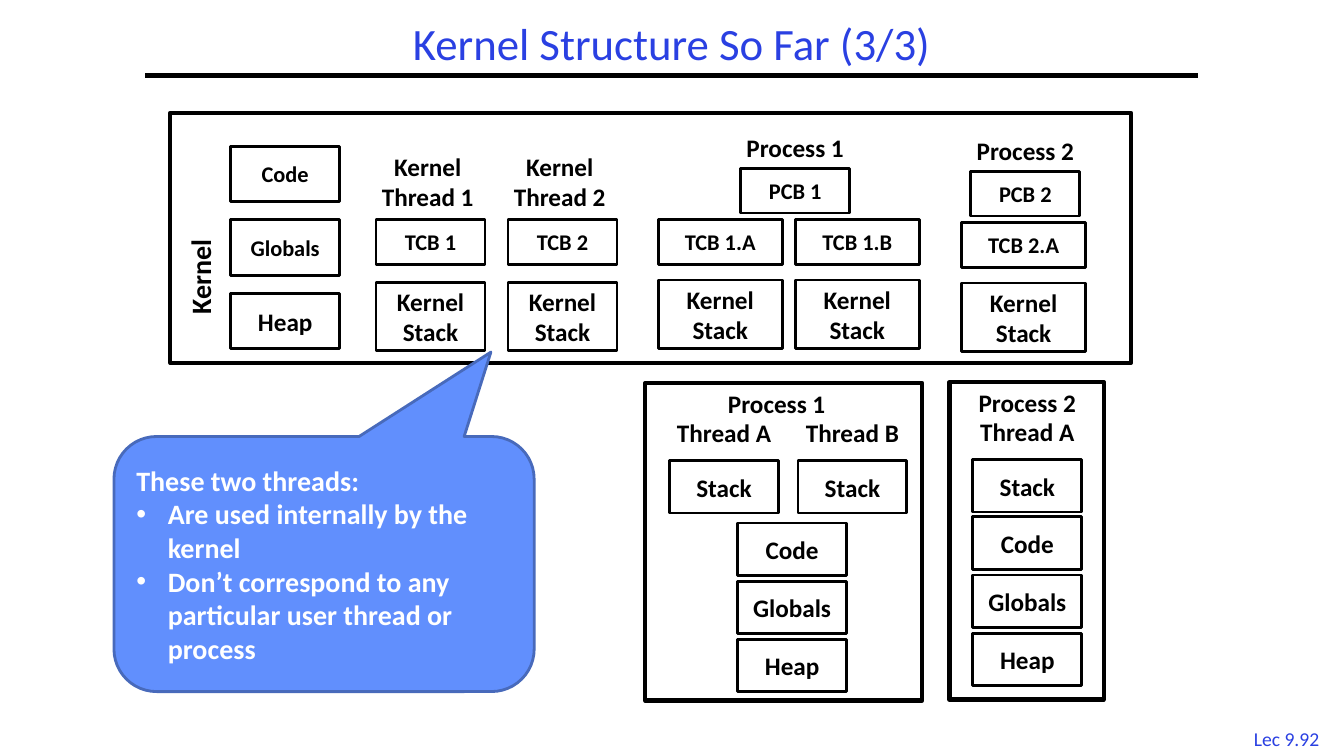
from lxml.etree import SubElement
from pptx import Presentation
from pptx.dml.color import RGBColor
from pptx.enum.shapes import MSO_CONNECTOR, MSO_SHAPE
from pptx.enum.text import MSO_ANCHOR, PP_ALIGN
from pptx.oxml.ns import qn
from pptx.util import Pt

BLACK = RGBColor(0x00, 0x00, 0x00)
WHITE = RGBColor(0xFF, 0xFF, 0xFF)
TITLE = RGBColor(0x2A, 0x40, 0xE2)
BLUE = RGBColor(0x61, 0x8F, 0xFD)
EDGE = RGBColor(0x48, 0x6A, 0xBB)
STACK = "Kernel\vStack"
CELL = 77.8  # width of a narrow cell
WIDE = 88.6  # width of a cell under a process


def style(para, size, color=BLACK, bold=True):
    font = para.font
    font.name, font.size, font.bold = "Calibri", Pt(size), bold
    font.color.rgb = color


def label(slide, mid, top, width, height, text, size=18, color=BLACK, bold=True):
    """Add centred text around the given middle."""
    box = slide.shapes.add_textbox(Pt(mid - width / 2), Pt(top), Pt(width), Pt(height))
    frame = box.text_frame
    frame.word_wrap = True
    frame.text = text
    for para in frame.paragraphs:
        para.alignment = PP_ALIGN.CENTER
        style(para, size, color, bold)
    return frame


def rect(slide, left, top, width, height, weight, kind=MSO_SHAPE.RECTANGLE):
    shape = slide.shapes.add_shape(kind, Pt(left), Pt(top), Pt(width), Pt(height))
    shape.shadow.inherit = False
    shape.fill.background()
    shape.line.color.rgb = BLACK
    shape.line.width = Pt(weight)
    return shape


def cell(slide, mid, top, width, height, text, size=18):
    """Add an outlined box with a bold name around the given middle."""
    frame = rect(slide, mid - width / 2, top, width, height, 2).text_frame
    frame.vertical_anchor = MSO_ANCHOR.MIDDLE
    frame.word_wrap = True
    para = frame.paragraphs[0]
    para.text = text
    para.alignment = PP_ALIGN.CENTER
    style(para, size)


def header(slide, left, top, width, height):
    frame = label(slide, left + width / 2, top, width, height,
                  "Kernel Structure So Far (3/3)", 32, TITLE, False)
    frame.vertical_anchor = MSO_ANCHOR.MIDDLE
    frame.paragraphs[0].line_spacing = 0.9
    base = Pt(top + height)
    rule = slide.shapes.add_connector(
        MSO_CONNECTOR.STRAIGHT, Pt(left), base, Pt(left + width), base)
    rule.line.color.rgb = BLACK
    rule.line.width = Pt(3)
    SubElement(rule._element.spPr, qn("a:effectLst"))


def task(slide, mid, top, name, block, threads):
    """Add a process as the kernel sees it: its PCB, TCBs and stacks."""
    label(slide, mid, top, 100, 29, name)
    cell(slide, mid, top + 29.5, CELL, 31.7, block, 16)
    for x, thread in threads:
        cell(slide, x, top + 66, WIDE, 31.7, thread, 16)
        cell(slide, x, top + 109, WIDE, 49, STACK)


def kernel(slide, left, top, width, height):
    rect(slide, left, top, width, height, 3)
    side = label(slide, left + 21, top + 67, 38, 100, "Kernel", 20)
    side.vertical_anchor = MSO_ANCHOR.MIDDLE
    side._txBody.bodyPr.set("vert", "vert270")
    for row, (name, size) in enumerate([("Code", 16), ("Globals", 16), ("Heap", 18)]):
        cell(slide, left + 82, top + 23.8 + 52.6 * row, CELL, 39.6, name, size)
    for col in range(2):
        mid = left + 185.8 + 94.3 * col
        label(slide, mid - 2, top + 23.8, 90, 51, f"Kernel\nThread {col + 1}")
        cell(slide, mid, top + 76.4, CELL, 31.7, f"TCB {col + 1}", 16)
        cell(slide, mid, top + 121, CELL, 49, STACK)
    task(slide, left + 446.3, top + 10.4, "Process 1", "PCB 1",
         [(left + 392.8, "TCB 1.A"), (left + 490.7, "TCB 1.B")])
    task(slide, left + 610.7, top + 12.6, "Process 2", "PCB 2",
         [(left + 609.5, "TCB 2.A")])


def process(slide, left, top, width, height, name, mid, threads, store, first):
    """Add a user process; mid and store centre its name and its memory."""
    rect(slide, left, top, width, height, 3)
    label(slide, left + mid, top, 100, 29, name)
    for x, thread in threads:
        label(slide, left + x, top + 21, 94, 29, thread)
        cell(slide, left + x, top + 55.5, CELL, 37.4, "Stack")
    for row, part in enumerate(["Code", "Globals", "Heap"]):
        cell(slide, left + store, top + first + 41.5 * row, CELL, 37.4, part)


def callout(slide, left, top, width, height):
    shape = rect(slide, left, top, width, height, 2,
                 MSO_SHAPE.ROUNDED_RECTANGULAR_CALLOUT)
    for i, value in enumerate([0.397, -0.831, 0.167]):
        shape.adjustments[i] = value
    shape.fill.solid()
    shape.fill.fore_color.rgb = BLUE
    shape.line.color.rgb = EDGE
    frame = shape.text_frame
    frame.word_wrap = True
    frame.vertical_anchor = MSO_ANCHOR.MIDDLE
    frame.text = ("These two threads:\nAre used internally by the kernel\n"
                  "Don’t correspond to any particular user thread or process")
    for i, para in enumerate(frame.paragraphs):
        para.alignment = PP_ALIGN.LEFT
        if i:
            props = para._p.get_or_add_pPr()
            props.set("marL", str(Pt(22.5)))
            props.set("indent", str(Pt(-22.5)))
            SubElement(props, qn("a:buFont")).set("typeface", "Arial")
            SubElement(props, qn("a:buChar")).set("char", "•")
        style(para, 20, WHITE)


def main():
    deck = Presentation()
    deck.slide_width, deck.slide_height = Pt(960), Pt(540)
    slide = deck.slides.add_slide(deck.slide_layouts[6])
    header(slide, 103.7, 12.2, 752.3, 41.8)
    kernel(slide, 121.7, 80.6, 686.2, 178.6)
    process(slide, 460.8, 273.6, 198, 226.8, "Process 1", 94,
            [(56.4, "Thread A"), (148.1, "Thread B")], 105, 100)
    process(slide, 678.2, 272.9, 110.2, 226.8, "Process 2", 55.6,
            [(55.6, "Thread A")], 55.6, 96.3)
    callout(slide, 81.4, 311.8, 300.2, 182.2)
    label(slide, 919, 515.5, 70, 23.8, "Lec 9.92", 14, TITLE, False)
    deck.save("out.pptx")


if __name__ == "__main__":
    main()
